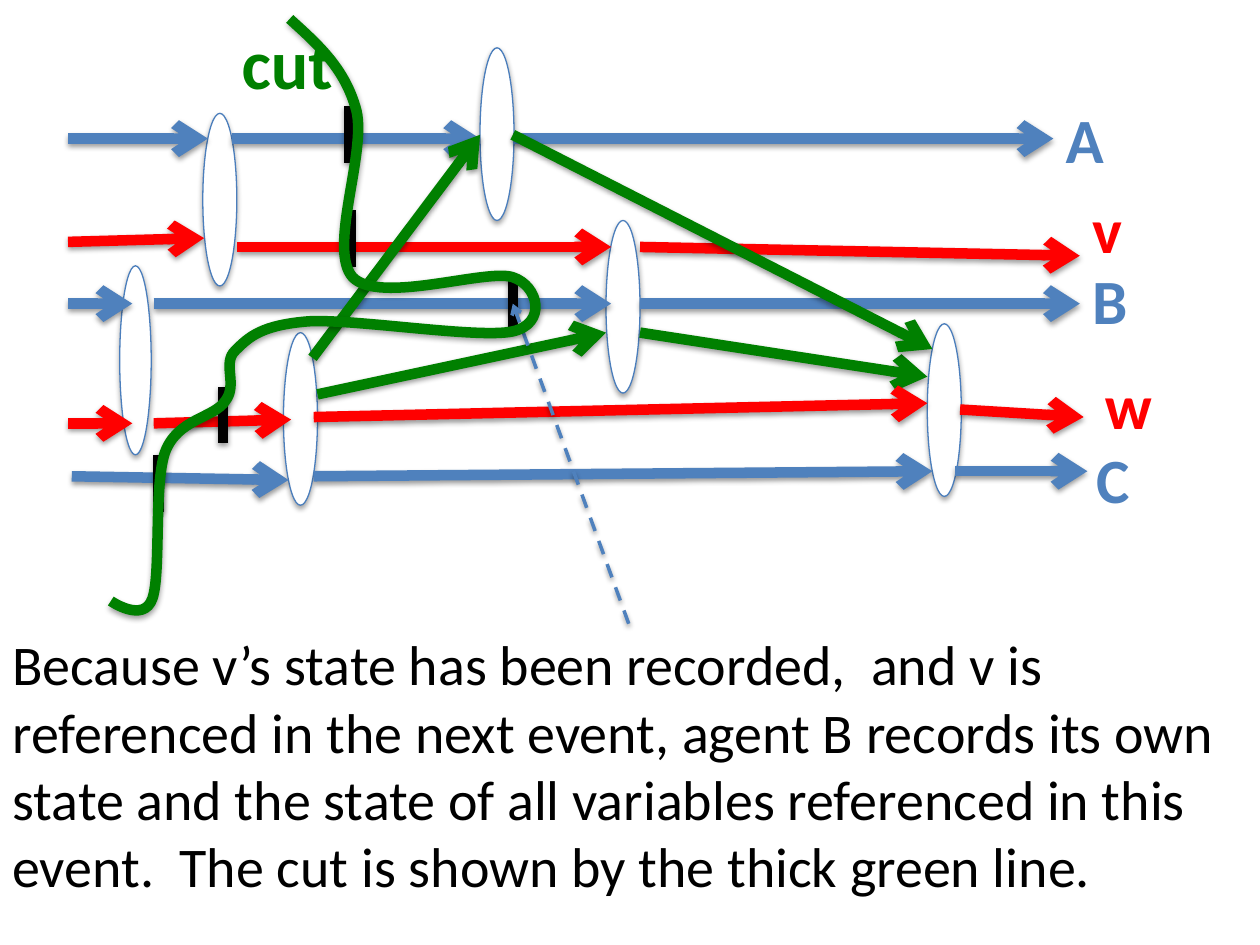
from lxml import etree
from pptx import Presentation
from pptx.dml.color import RGBColor
from pptx.enum.dml import MSO_LINE
from pptx.enum.shapes import MSO_CONNECTOR, MSO_SHAPE
from pptx.enum.text import MSO_AUTO_SIZE
from pptx.oxml import parse_xml
from pptx.oxml.ns import nsdecls, qn
from pptx.util import Inches, Pt

STRAIGHT = MSO_CONNECTOR.STRAIGHT
OVAL = MSO_SHAPE.OVAL
DASH = MSO_LINE.DASH
FIT_TEXT = MSO_AUTO_SIZE.SHAPE_TO_FIT_TEXT
COLORS = {"blue": "4F81BD", "outline": "4B7EBC", "red": "FF0000",
          "green": "008000", "black": "000000", "white": "FFFFFF"}

EVENTS = [(3.81, 0.38, 0.27, 1.37), (4.81, 1.75, 0.27, 1.37),
          (1.61, 0.9, 0.27, 1.37), (2.25, 2.64, 0.27, 1.37),
          (7.36, 2.57, 0.27, 1.37), (0.95, 2.11, 0.25, 1.5)]
ARROWS = [
    ("blue", 1.84, 1.1, 3.81, 1.1), ("red", 0.54, 1.92, 1.62, 1.89),
    ("red", 1.88, 1.96, 4.85, 1.96), ("red", 5.08, 1.96, 8.57, 2.03),
    ("blue", 5.08, 2.41, 8.57, 2.41), ("blue", 1.22, 2.41, 4.85, 2.41),
    ("blue", 0.54, 2.41, 1.05, 2.41), ("green", 2.52, 3.13, 4.81, 2.64),
    ("green", 5.08, 2.64, 7.36, 2.99), ("red", 7.62, 3.25, 8.6, 3.31),
    ("blue", 0.54, 1.1, 1.65, 1.1), ("red", 1.22, 3.36, 2.31, 3.33),
    ("red", 0.54, 3.36, 1.05, 3.36), ("red", 2.49, 3.31, 7.36, 3.2),
    ("green", 2.48, 2.84, 3.81, 1.07), ("blue", 4.07, 1.1, 8.36, 1.1),
    ("green", 4.07, 1.07, 7.4, 2.77), ("blue", 0.57, 3.78, 2.29, 3.81),
    ("blue", 2.49, 3.78, 7.4, 3.74), ("blue", 7.58, 3.74, 8.63, 3.74)]
LABELS = [("A", "blue", 8.36, 0.75), ("v", "red", 8.57, 1.46),
          ("B", "blue", 8.57, 2.03), ("w", "red", 8.67, 2.86),
          ("C", "blue", 8.6, 3.45)]
STATE_MARKS = [(1.26, 3.61), (1.77, 3.07), (2.77, 0.84), (2.78, 1.67)]
NEW_MARK = (4.07, 2.18)
CUT_SIZE = (3.36, 4.69)
CUT_POINTS = [
    (2.3, 0.15),
    (2.52, 0.35), (2.74, 0.54), (2.83, 0.88),
    (2.91, 1.22), (2.6, 1.98), (2.8, 2.2),
    (3.01, 2.42), (3.86, 2.13), (4.07, 2.2),
    (4.28, 2.27), (4.34, 2.57), (4.07, 2.63),
    (3.8, 2.69), (2.82, 2.53), (2.45, 2.55),
    (2.08, 2.58), (1.98, 2.67), (1.87, 2.78),
    (1.76, 2.88), (1.89, 3.05), (1.79, 3.18),
    (1.7, 3.32), (1.41, 3.32), (1.31, 3.59),
    (1.22, 3.85), (1.28, 4.55), (1.21, 4.75),
    (1.14, 4.95), (0.88, 4.77), (0.88, 4.77)]
CAPTION = ("Because v’s state has been recorded,  and v is referenced in the next "
           "event, agent B records its own state and the state of all variables "
           "referenced in this event.  The cut is shown by the thick green line.")


class Diagram:
    """Draws the elements of an event diagram in one style."""

    font = "Calibri"
    thick = 6
    mark_height = 0.45

    def __init__(self, slide):
        self.slide = slide
        self.shapes = slide.shapes

    def start_group(self):
        self.shapes = self.slide.shapes.add_group_shape().shapes

    def end_group(self):
        self.shapes = self.slide.shapes

    def color(self, name):
        return RGBColor.from_string(COLORS[name])

    def outline(self, shape, color, width):
        shape.line.color.rgb = self.color(color)
        shape.line.width = Pt(width)

    def shadow(self, shape, distance=1.6, opacity=38):
        shape._element.spPr.append(parse_xml(
            f'<a:effectLst {nsdecls("a")}><a:outerShdw blurRad="{Pt(3.1)}" '
            f'dist="{Pt(distance)}" dir="5400000" rotWithShape="0">'
            f'<a:srgbClr val="{COLORS["black"]}"><a:alpha val="{opacity * 1000}"/>'
            '</a:srgbClr></a:outerShdw></a:effectLst>'))

    def event(self, left, top, width, height):
        oval = self.shapes.add_shape(OVAL, Inches(left), Inches(top),
                                     Inches(width), Inches(height))
        oval.fill.solid()
        oval.fill.fore_color.rgb = self.color("white")
        self.outline(oval, "outline", 0.75)
        self.shadow(oval, 1.8, 35)

    def line(self, color, x1, y1, x2, y2, width=thick, arrow=True, dash=None):
        line = self.shapes.add_connector(STRAIGHT, Inches(x1), Inches(y1),
                                         Inches(x2), Inches(y2))
        self.outline(line, color, width)
        if dash:
            line.line.dash_style = dash
        if arrow:
            etree.SubElement(line.line._get_or_add_ln(), qn("a:tailEnd"), type="arrow")
        self.shadow(line)

    def mark(self, x, top):
        self.line("black", x, top, x, top + self.mark_height, arrow=False)

    def curve(self, color, points, size):
        start, *rest = [(Inches(x), Inches(y)) for x, y in points]
        builder = self.shapes.build_freeform(*start)
        builder.add_line_segments(rest, close=False)
        curve = builder.convert_to_shape()
        curve.width, curve.height = Inches(size[0]), Inches(size[1])
        outline = next(curve._element.iter(qn("a:pathLst")))[0]
        outline.set("w", str(curve.width))
        outline.set("h", str(curve.height))
        segments = outline.findall(qn("a:lnTo"))
        for first in range(0, len(segments), 3):
            bezier = etree.SubElement(outline, qn("a:cubicBezTo"))
            for segment in segments[first:first + 3]:
                bezier.append(segment[0])
                outline.remove(segment)
        curve.fill.background()
        self.outline(curve, color, self.thick)
        self.shadow(curve)

    def text(self, words, color, left, top, width, height, size, bold=True, wrap=True):
        box = self.shapes.add_textbox(Inches(left), Inches(top),
                                      Inches(width), Inches(height))
        frame = box.text_frame
        frame.word_wrap = wrap
        frame.auto_size = FIT_TEXT
        span = frame.paragraphs[0].add_run()
        span.text = words
        span.font.name = self.font
        span.font.size = Pt(size)
        span.font.bold = bold
        span.font.color.rgb = self.color(color)


def main():
    """Build the slide and save the deck."""
    deck = Presentation()
    deck.slide_width, deck.slide_height = Inches(10), Inches(7.5)
    diagram = Diagram(deck.slides.add_slide(deck.slide_layouts[6]))

    diagram.text(CAPTION, "black", 0, 4.95, 9.97, 2.26, 32, bold=False)
    diagram.start_group()
    for event in EVENTS:
        diagram.event(*event)
    for arrow in ARROWS:
        diagram.line(*arrow)
    for name, color, left, top in LABELS:
        diagram.text(name, color, left, top, 0.48, 0.71, 36)
    for mark in STATE_MARKS:
        diagram.mark(*mark)
    diagram.end_group()
    diagram.mark(*NEW_MARK)
    diagram.line("blue", 4.99, 4.95, 4.07, 2.41, width=2, dash=DASH)
    diagram.curve("green", CUT_POINTS, CUT_SIZE)
    diagram.text("cut", "green", 1.82, 0.11, 0.93, 0.77, 40, wrap=False)

    deck.save("out.pptx")


if __name__ == "__main__":
    main()
